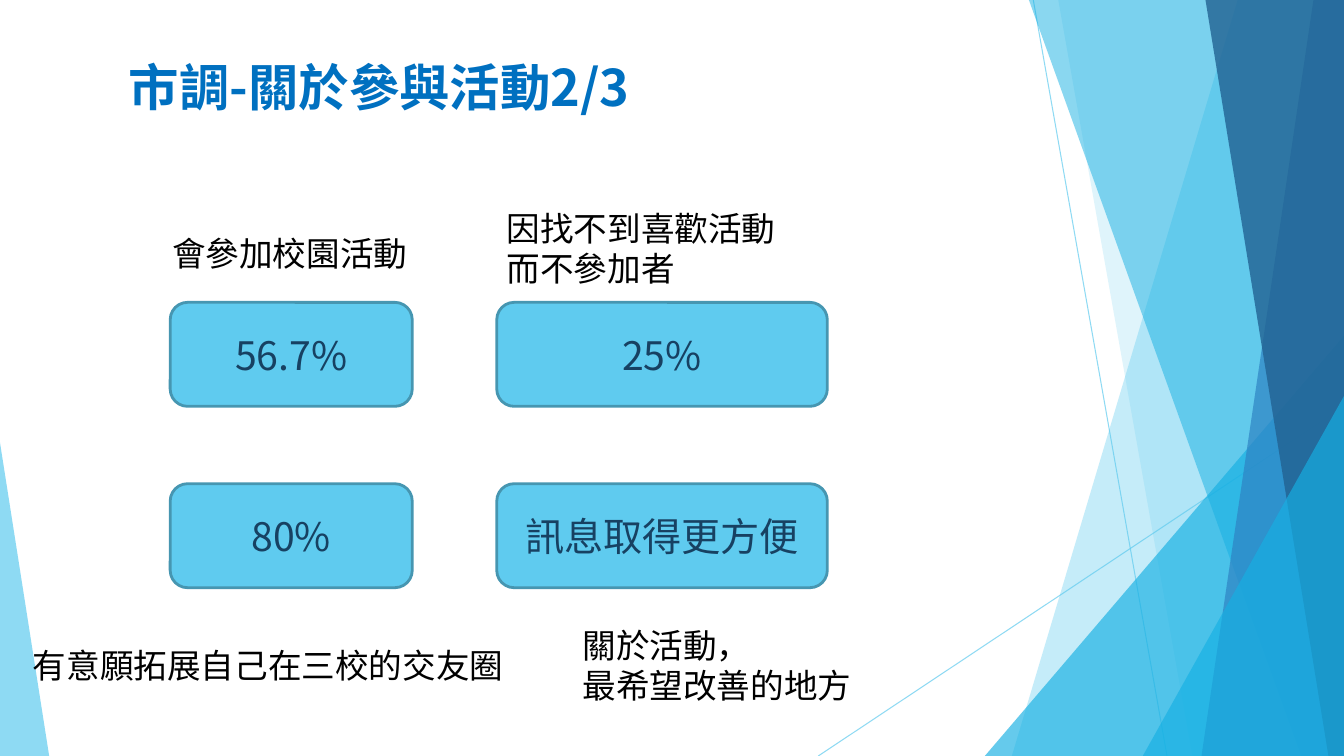
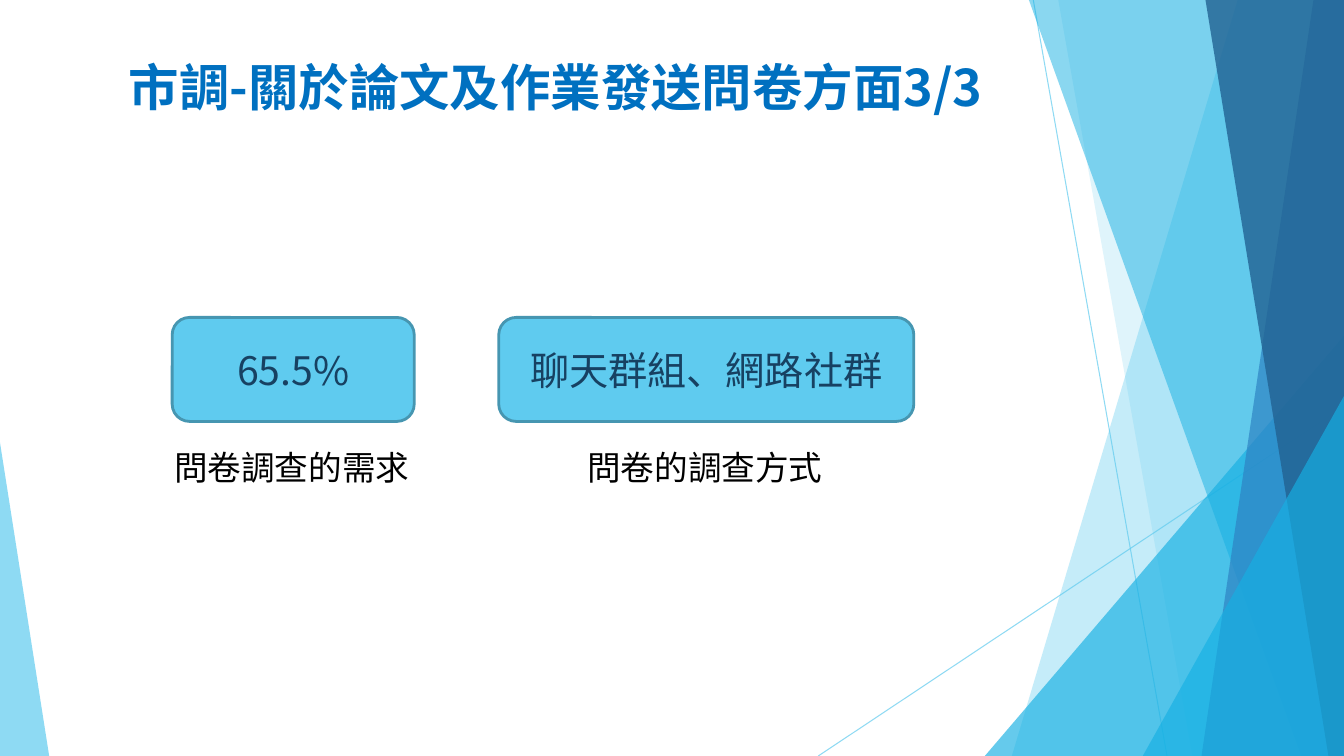
"""Build two market survey slides with a shared faceted background."""
from typing import NamedTuple

from lxml.etree import SubElement
from pptx import Presentation
from pptx.dml.color import RGBColor
from pptx.enum.shapes import MSO_CONNECTOR as Connector, MSO_SHAPE as Preset
from pptx.enum.text import MSO_ANCHOR as Anchor, MSO_AUTO_SIZE as AutoSize, PP_ALIGN as Align
from pptx.oxml.ns import qn
from pptx.util import Cm, Pt

WIDTH, HEIGHT = 33.87, 19.05
FONT = "Noto Sans CJK SC"
COLORS = {
    "sky": "5FCBEF",
    "cyan": "16B0E3",
    "blue": "2E83C3",
    "navy": "226292",
    "title": "0070C0",
    "outline": "4696B1",
    "card_text": "174162",
    "caption": "000000",
}
CARD_HEIGHT = 2.62
CAPTION_LINE = 1.27


class Ray(NamedTuple):
    start: tuple[float, float]
    end: tuple[float, float]


class Band(NamedTuple):
    top_x: float
    bottom_x: float
    color: str
    opacity: int


class Corner(NamedTuple):
    left: float
    top: float
    width: float
    peak: float
    color: str
    opacity: int


class Card(NamedTuple):
    left: float
    top: float
    width: float
    text: str


class Caption(NamedTuple):
    left: float
    top: float
    width: float
    lines: tuple[str, ...]


class Page(NamedTuple):
    title: str
    title_width: float
    cards: tuple[Card, ...]
    captions: tuple[Caption, ...]


RAYS = (Ray((26.04, 0), (29.41, HEIGHT)), Ray((WIDTH, 10.24), (20.62, HEIGHT)))
FACETS = (
    Band(31.19, 25.5, "sky", 36),
    Band(26.67, 30.05, "sky", 20),
    Corner(24.82, 8.46, 9.05, 1, "cyan", 66),
    Band(25.93, 32.79, "cyan", 50),
    Band(33.1, 30.28, "blue", 70),
    Band(30.38, 33.48, "navy", 80),
    Corner(28.8, 9.98, 5.07, 1, "cyan", 66),
    Corner(0, 11.15, 1.24, 0, "sky", 70),
)
PAGES = (
    Page(
        "市調-關於參與活動2/3",
        21.59,
        (
            Card(4.29, 7.62, 6.1, "56.7%"),
            Card(12.52, 7.62, 8.33, "25%"),
            Card(12.52, 12.19, 8.33, "訊息取得更方便"),
            Card(4.29, 12.19, 6.1, "80%"),
        ),
        (
            Caption(14.43, 15.62, 7.34, ("關於活動，", "最希望改善的地方")),
            Caption(12.52, 5.11, 7.34, ("因找不到喜歡活動", "而不參加者")),
            Caption(0.58, 16.13, 12.47, ("有意願拓展自己在三校的交友圈",)),
            Caption(4.09, 5.74, 6.5, ("會參加校園活動",)),
        ),
    ),
    Page(
        "市調-關於論文及作業發送問卷方面3/3",
        24.38,
        (
            Card(4.34, 8, 6.1, "65.5%"),
            Card(12.57, 8, 10.46, "聊天群組、網路社群"),
        ),
        (
            Caption(14.55, 11.13, 6.5, ("問卷的調查方式",)),
            Caption(4.14, 11.13, 6.5, ("問卷調查的需求",)),
        ),
    ),
)


def rgb(name: str) -> RGBColor:
    return RGBColor.from_string(COLORS[name])


def set_opacity(shape, percent: int) -> None:
    for color in shape.element.spPr.iter(qn("a:srgbClr")):
        SubElement(color, qn("a:alpha"), val=str(percent * 1000))


def write_text(frame, *lines: str, size: int, color: str, bold: bool = False,
               align: Align = Align.LEFT, anchor: Anchor = Anchor.TOP, wrap: bool = True) -> None:
    frame.word_wrap = wrap
    frame.vertical_anchor = anchor
    for index, line in enumerate(lines):
        paragraph = frame.add_paragraph() if index else frame.paragraphs[0]
        paragraph.alignment = align
        run = paragraph.add_run()
        run.text = line
        run.font.size = Pt(size)
        run.font.bold = bold
        run.font.color.rgb = rgb(color)
        run.font.name = FONT
        SubElement(run.font._element, qn("a:ea"), typeface=FONT)


def add_ray(shapes, ray: Ray) -> None:
    points = (Cm(value) for value in ray.start + ray.end)
    connector = shapes.add_connector(Connector.STRAIGHT, *points)
    connector.line.color.rgb = rgb("sky")
    connector.line.width = Pt(0.75)
    set_opacity(connector, 70)
    SubElement(connector.element.spPr, qn("a:effectLst"))


def add_facet(shapes, facet: Band | Corner) -> None:
    if isinstance(facet, Band):
        builder = shapes.build_freeform(Cm(facet.top_x), 0)
        outline = ((WIDTH, 0), (WIDTH, HEIGHT), (facet.bottom_x, HEIGHT))
        builder.add_line_segments([(Cm(x), Cm(y)) for x, y in outline])
        shape = builder.convert_to_shape()
    else:
        shape = shapes.add_shape(Preset.ISOSCELES_TRIANGLE, Cm(facet.left), Cm(facet.top),
                                 Cm(facet.width), Cm(HEIGHT - facet.top))
        shape.adjustments[0] = facet.peak
    shape.shadow.inherit = False
    shape.fill.solid()
    shape.fill.fore_color.rgb = rgb(facet.color)
    shape.line.fill.background()
    set_opacity(shape, facet.opacity)


def add_background(slide) -> None:
    shapes = slide.shapes.add_group_shape().shapes
    for ray in RAYS:
        add_ray(shapes, ray)
    for facet in FACETS:
        add_facet(shapes, facet)


def add_title(slide, text: str, width: float) -> None:
    frame = slide.shapes.add_textbox(Cm(3), 0, Cm(width), Cm(3.18)).text_frame
    frame.margin_bottom = Cm(0.25)
    write_text(frame, text, size=36, color="title", bold=True, anchor=Anchor.BOTTOM)


def add_card(slide, card: Card) -> None:
    shape = slide.shapes.add_shape(Preset.ROUNDED_RECTANGLE, Cm(card.left), Cm(card.top),
                                   Cm(card.width), Cm(CARD_HEIGHT))
    shape.shadow.inherit = False
    shape.fill.solid()
    shape.fill.fore_color.rgb = rgb("sky")
    shape.line.color.rgb = rgb("outline")
    shape.line.width = Pt(2)
    write_text(shape.text_frame, card.text, size=28, color="card_text",
               align=Align.CENTER, anchor=Anchor.MIDDLE)


def add_caption(slide, caption: Caption) -> None:
    height = CAPTION_LINE + 1.04 * (len(caption.lines) - 1)
    frame = slide.shapes.add_textbox(Cm(caption.left), Cm(caption.top),
                                     Cm(caption.width), Cm(height)).text_frame
    frame.auto_size = AutoSize.SHAPE_TO_FIT_TEXT
    write_text(frame, *caption.lines, size=24, color="caption", wrap=False)


def main() -> None:
    presentation = Presentation()
    presentation.slide_width, presentation.slide_height = Cm(WIDTH), Cm(HEIGHT)
    for page in PAGES:
        slide = presentation.slides.add_slide(presentation.slide_layouts[6])
        add_background(slide)
        add_title(slide, page.title, page.title_width)
        for card in page.cards:
            add_card(slide, card)
        for caption in page.captions:
            add_caption(slide, caption)
    presentation.save("out.pptx")


if __name__ == "__main__":
    main()
